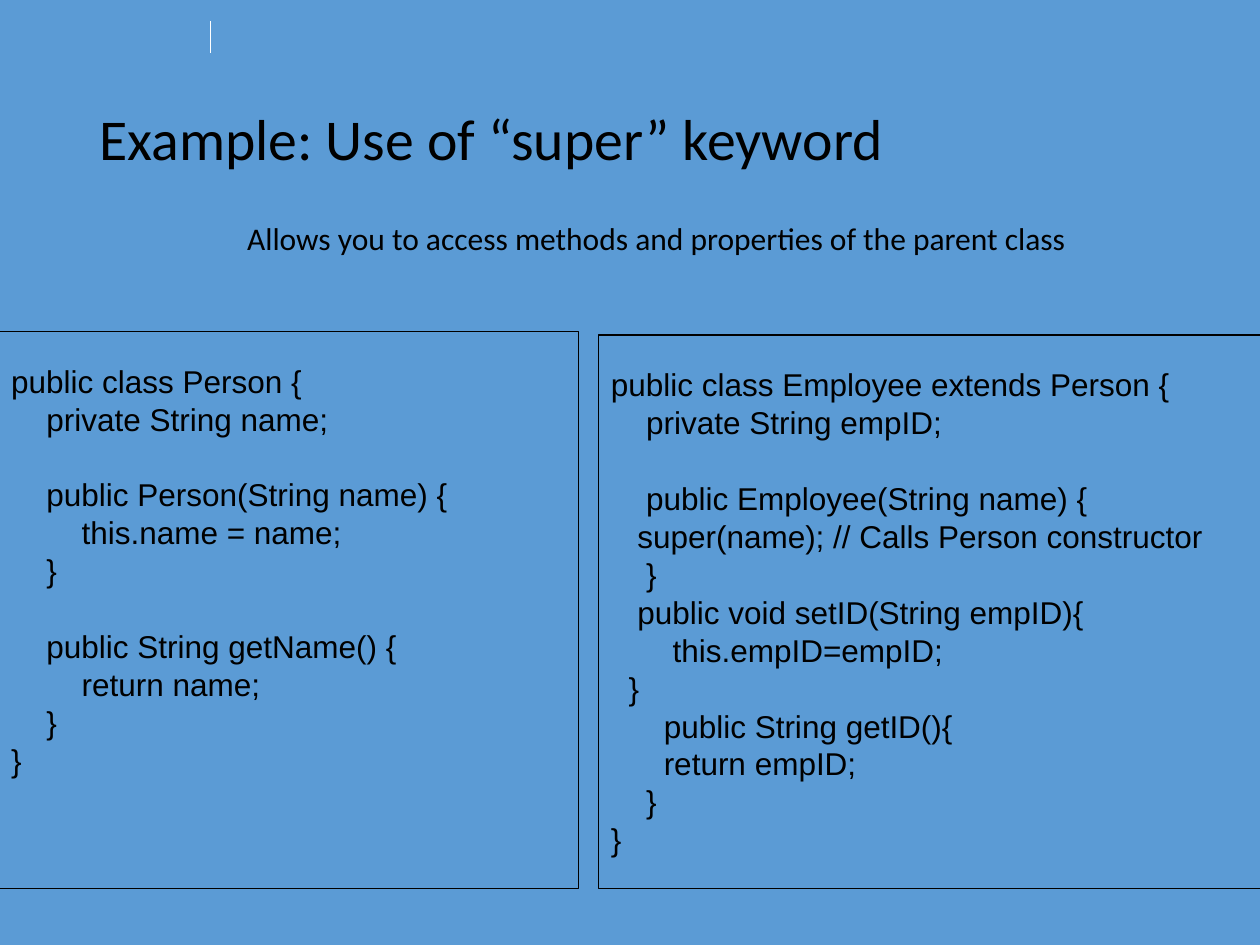
from lxml import etree
from pptx import Presentation
from pptx.dml.color import RGBColor
from pptx.enum.shapes import MSO_CONNECTOR, MSO_SHAPE
from pptx.enum.text import MSO_ANCHOR, PP_ALIGN
from pptx.oxml.ns import qn
from pptx.util import Inches, Pt

RECTANGLE = MSO_SHAPE.RECTANGLE
STRAIGHT = MSO_CONNECTOR.STRAIGHT
TOP, MIDDLE = MSO_ANCHOR.TOP, MSO_ANCHOR.MIDDLE
LEFT, CENTER = PP_ALIGN.LEFT, PP_ALIGN.CENTER

BLUE = RGBColor(0x5B, 0x9B, 0xD5)
BLACK = RGBColor(0, 0, 0)
WHITE = RGBColor(0xFF, 0xFF, 0xFF)

COLUMNS, ROWS = 100, 75
WIDTH, HEIGHT = Inches(10), Inches(7.5)
CODE_SIZE = 18
CODE_PITCH = Pt(21.65)
SPACE_WIDTH = Pt(CODE_SIZE * 0.28)

PERSON_CODE = """public class Person {
    private String name;

    public Person(String name) {
        this.name = name;
    }

    public String getName() {
        return name;
    }
}"""

EMPLOYEE_CODE = """public class Employee extends Person {
    private String empID;

    public Employee(String name) {
   super(name); // Calls Person constructor
    }
   public void setID(String empID){
       this.empID=empID;
  }
      public String getID(){
      return empID;
    }
}"""


def grid_box(left, top, width, height):
    """Turn grid columns and rows into slide lengths."""
    column, row = WIDTH / COLUMNS, HEIGHT / ROWS
    return (round(left * column), round(top * row),
            round(width * column), round(height * row))


def add_span(para, text, font, size):
    """Add one black run to a paragraph."""
    span = para.add_run()
    span.text = text
    span.font.name = font
    span.font.size = Pt(size)
    span.font.color.rgb = BLACK


def add_heading(page, box, text, size, anchor, align):
    """Place one line of heading text in the box."""
    frame = page.shapes.add_textbox(*box).text_frame
    frame.word_wrap = True
    frame.vertical_anchor = anchor
    para = frame.paragraphs[0]
    para.alignment = align
    para.line_spacing = 0.9
    add_span(para, text, "Calibri", size)


def add_code_panel(page, box, code):
    """Place a framed panel of code, indenting lines by their leading spaces."""
    panel = page.shapes.add_shape(RECTANGLE, *box)
    panel.shadow.inherit = False
    panel.fill.solid()
    panel.fill.fore_color.rgb = BLUE
    color = panel.fill._xPr.find(qn("a:solidFill"))[0]
    etree.SubElement(color, qn("a:alpha")).set("val", "40000")
    panel.line.color.rgb = BLACK
    panel.line.width = Pt(0.75)
    frame = panel.text_frame
    frame.word_wrap = True
    frame.vertical_anchor = TOP
    frame.margin_top = Inches(0.24)
    para, gap = frame.paragraphs[0], 0
    for number, line in enumerate(code.splitlines()):
        text = line.lstrip()
        if not text:
            gap += CODE_PITCH
            continue
        if number:
            para = frame.add_paragraph()
        para.alignment = LEFT
        para.line_spacing = CODE_PITCH
        para.space_before = gap
        indent = (len(line) - len(text)) * SPACE_WIDTH
        para._p.get_or_add_pPr().set("marL", str(indent))
        add_span(para, text, "Arial", CODE_SIZE)
        gap = 0


def add_tick(page, box):
    """Draw the thin white upright line from the bottom of the box to its top."""
    left, top, width, height = box
    tick = page.shapes.add_connector(STRAIGHT, left, top + height, left + width, top)
    tick.line.color.rgb = WHITE
    tick.line.width = Pt(0.75)
    etree.SubElement(tick._element.spPr, qn("a:effectLst"))


def main():
    """Build and save the deck."""
    deck = Presentation()
    deck.slide_width, deck.slide_height = WIDTH, HEIGHT
    page = deck.slides.add_slide(deck.slide_layouts[6])
    page.background.fill.solid()
    page.background.fill.fore_color.rgb = BLUE
    add_tick(page, grid_box(16.7, 1.7, 0, 2.5))
    add_heading(page, grid_box(6.9, 4, 86.3, 14.5),
                "Example: Use of “super” keyword", 33, MIDDLE, LEFT)
    add_heading(page, grid_box(7.5, 17.2, 89.2, 7.5),
                "Allows you to access methods and properties of the parent class",
                18, TOP, CENTER)
    add_code_panel(page, grid_box(-0.1, 26.3, 46, 44.2), PERSON_CODE)
    add_code_panel(page, grid_box(47.5, 26.6, 52.7, 43.9), EMPLOYEE_CODE)
    deck.save("out.pptx")


if __name__ == "__main__":
    main()
